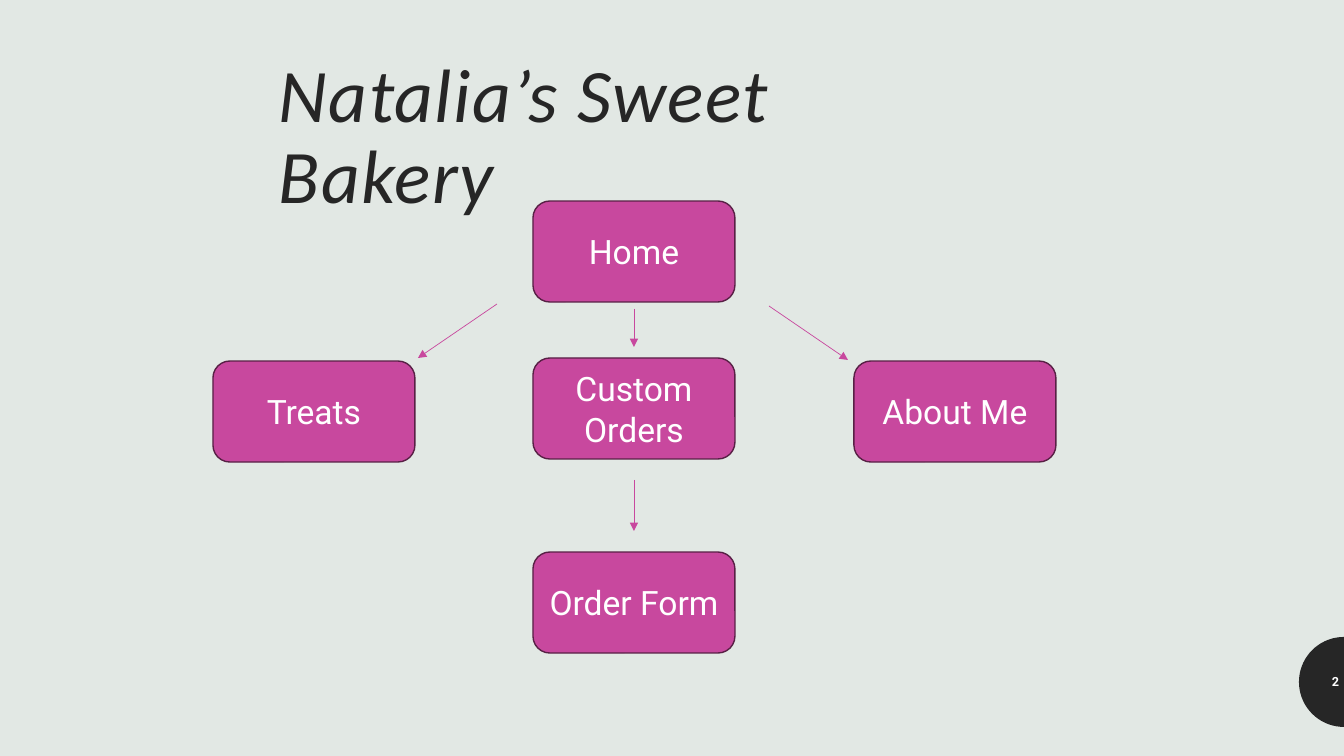
"""Build the site map slide of a sweet bakery."""
from math import cos, pi, sin

from lxml import etree
from pptx import Presentation
from pptx.dml.color import RGBColor
from pptx.enum.shapes import MSO_CONNECTOR, MSO_SHAPE
from pptx.enum.text import MSO_ANCHOR, PP_ALIGN
from pptx.oxml.ns import qn
from pptx.util import Pt

STRAIGHT = MSO_CONNECTOR.STRAIGHT
ROUNDED = MSO_SHAPE.ROUNDED_RECTANGLE
TOP, MIDDLE = MSO_ANCHOR.TOP, MSO_ANCHOR.MIDDLE
LEFT, CENTER, RIGHT = PP_ALIGN.LEFT, PP_ALIGN.CENTER, PP_ALIGN.RIGHT

PX = 914400 / 100.8
COLORS = {
    "background": "E2E8E4",
    "ink": "262626",
    "white": "FFFFFF",
    "pink": "C8489E",
    "plum": "582045",
}
FORMATS = {
    "title": {"name": "Calibri", "size": Pt(54), "italic": True, "bold": False},
    "page": {"name": "Roboto", "size": Pt(9), "bold": True},
    "box": {"name": "Roboto", "size": Pt(24)},
}


def px(*lengths):
    return [round(length * PX) for length in lengths]


def write(holder, text, style, color, align, anchor, margins):
    frame = holder.text_frame
    frame.word_wrap = True
    frame.vertical_anchor = anchor
    frame.margin_left, frame.margin_top, frame.margin_right, frame.margin_bottom = px(*margins)
    paragraph = frame.paragraphs[0]
    paragraph.alignment = align
    run = paragraph.add_run()
    run.text = text
    for attribute, value in FORMATS[style].items():
        setattr(run.font, attribute, value)
    run.font.color.rgb = RGBColor.from_string(COLORS[color])
    return paragraph, run


prs = Presentation()
prs.slide_width, prs.slide_height = px(1344, 756)
slide = prs.slides.add_slide(prs.slide_layouts[5])
slide.background.fill.solid()
slide.background.fill.fore_color.rgb = RGBColor.from_string(COLORS["background"])

title = slide.shapes.title
title.left, title.top, title.width, title.height = px(269, 52, 729, 151)
paragraph, run = write(title, "Natalia’s Sweet Bakery", "title", "ink", LEFT, TOP, (10, 5, 10, 5))
paragraph.line_spacing = 0.9
run.font._element.set("spc", "100")

center_x, center_y, radius, steps = 1344, 682, 45, 36
rim = [
    px(center_x - radius * sin(pi * step / steps), center_y - radius * cos(pi * step / steps))
    for step in range(steps + 1)
]
builder = slide.shapes.build_freeform(*rim[0])
builder.add_line_segments(rim[1:], close=True)
page_badge = builder.convert_to_shape()
page_badge.shadow.inherit = False
page_badge.fill.solid()
page_badge.fill.fore_color.rgb = RGBColor.from_string(COLORS["ink"])
page_badge.line.fill.background()

page_number = slide.shapes.add_textbox(*px(1299, 662, 45, 40))
write(page_number, "2", "page", "white", RIGHT, MIDDLE, (5, 5, 5, 5))

PAGES = [
    ("Home", 533, 201),
    ("Treats", 213, 361),
    ("Custom Orders", 533, 358),
    ("About Me", 854, 361),
    ("Order Form", 533, 552),
]
for name, left, top in PAGES:
    page = slide.shapes.add_shape(ROUNDED, *px(left, top, 202, 101))
    page.shadow.inherit = False
    page.fill.solid()
    page.fill.fore_color.rgb = RGBColor.from_string(COLORS["pink"])
    page.line.color.rgb = RGBColor.from_string(COLORS["plum"])
    page.line.width = Pt(1)
    write(page, name, "box", "white", CENTER, MIDDLE, (10, 5, 10, 5))

ARROWS = [
    (497, 304, 418, 358),
    (634, 309, 634, 347),
    (769, 306, 848, 360),
    (634, 480, 634, 531),
]
for ends in ARROWS:
    arrow = slide.shapes.add_connector(STRAIGHT, *px(*ends))
    arrow.line.color.rgb = RGBColor.from_string(COLORS["pink"])
    arrow.line.width = Pt(0.5)
    etree.SubElement(arrow.line._get_or_add_ln(), qn("a:tailEnd"), type="triangle")
    etree.SubElement(arrow._element.spPr, qn("a:effectLst"))

prs.save("out.pptx")
